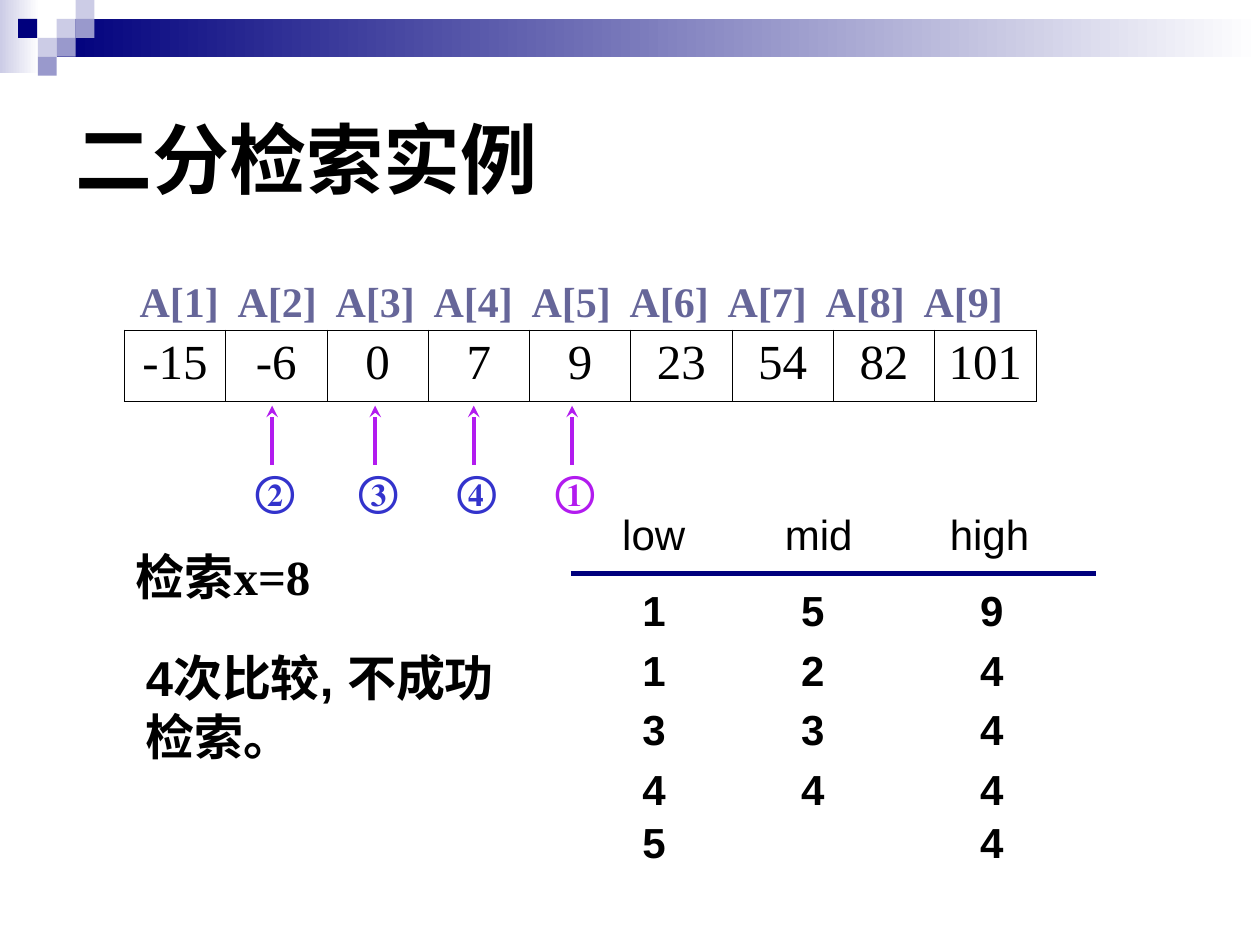
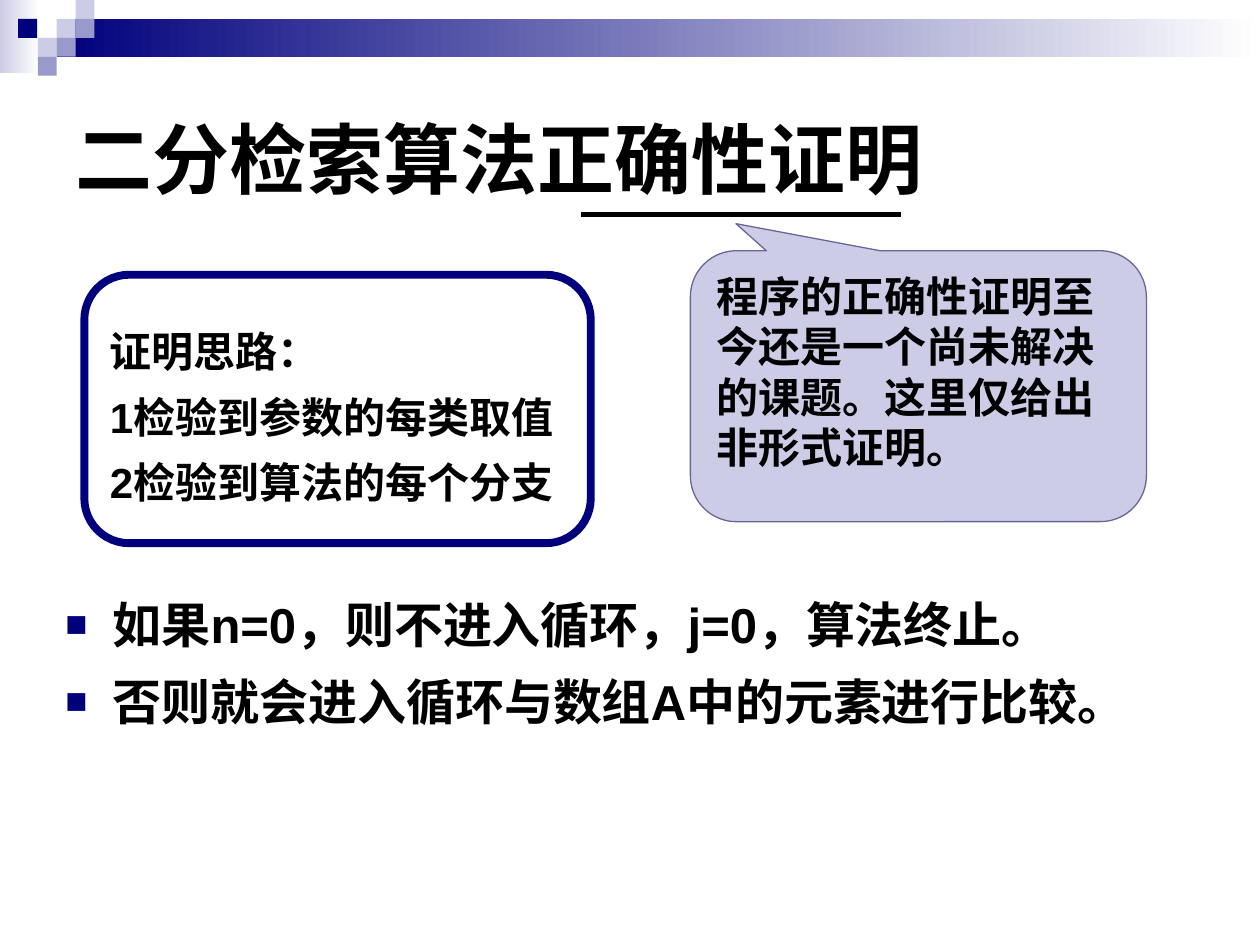
from lxml import etree
from pptx import Presentation
from pptx.dml.color import RGBColor
from pptx.enum import shapes, text
from pptx.oxml import ns
from pptx.util import Pt


class Theme:
    navy, lilac, mauve = "00007D", "CCCCE6", "9999CC"
    slate, blue, pink = "666699", "3333CC", "B21BEF"
    black, white = "000000", "FFFFFF"
    sans, serif = "Arial", "Times New Roman"
    head, body, small = 44, 28, 24


def write(para, words, size, color=Theme.black, bold=True, face=Theme.sans):
    para.text = words
    font = para.font
    font.size, font.bold, font.name = Pt(size), bold, face
    font.color.rgb = RGBColor.from_string(color)


def rule(slide, x1, y1, x2, y2, color, width, tip=None):
    line = slide.shapes.add_connector(
        shapes.MSO_CONNECTOR.STRAIGHT, Pt(x1), Pt(y1), Pt(x2), Pt(y2))
    line.line.color.rgb = RGBColor.from_string(color)
    line.line.width = Pt(width)
    props = line.element.spPr
    if tip:
        etree.SubElement(props.find(ns.qn("a:ln")), ns.qn("a:tailEnd"), type=tip)
    etree.SubElement(props, ns.qn("a:effectLst"))


deck = Presentation()
deck.slide_width, deck.slide_height = Pt(720), Pt(540)
demo = deck.slides.add_slide(deck.slide_layouts[5])
proof = deck.slides.add_slide(deck.slide_layouts[1])

# Shared band and squares, moved to the master
side = 10.8
tiles = [(0, 0, 22.5, 42, Theme.lilac, True), (32.4, 10.8, 687.6, 21.6, Theme.navy, True)]
for x, y, color in [(32.4, 10.8, Theme.lilac), (43.2, 0, Theme.lilac),
                    (43.2, 10.8, Theme.mauve), (21.6, 21.6, Theme.lilac),
                    (10.4, 10.8, Theme.navy), (32.4, 21.6, Theme.mauve),
                    (21.6, 32.4, Theme.mauve)]:
    tiles.append((x, y, side, side, color, False))
for x, y, w, h, color, fade in tiles:
    tile = demo.shapes.add_shape(shapes.MSO_SHAPE.RECTANGLE, Pt(x), Pt(y), Pt(w), Pt(h))
    tile.shadow.inherit = False
    tile.line.fill.background()
    if fade:
        tile.fill.gradient()
        tile.fill.gradient_angle = 0
        for stop, tone in zip(tile.fill.gradient_stops, (color, Theme.white)):
            stop.color.rgb = RGBColor.from_string(tone)
    else:
        tile.fill.solid()
        tile.fill.fore_color.rgb = RGBColor.from_string(color)
    deck.slide_master.shapes.element.append(tile.element)

# Titles
for slide, words in [(demo, "二分检索实例"), (proof, "二分检索算法正确性证明")]:
    title = slide.shapes.title
    title.left, title.top, title.width, title.height = Pt(36), Pt(36), Pt(648), Pt(108)
    title.text_frame.vertical_anchor = text.MSO_ANCHOR.MIDDLE
    title.text_frame.auto_size = text.MSO_AUTO_SIZE.NONE
    para = title.text_frame.paragraphs[0]
    para.alignment = text.PP_ALIGN.LEFT
    write(para, words, Theme.head)

# Array as a table
items = [-15, -6, 0, 7, 9, 23, 54, 82, 101]
grid = demo.shapes.add_table(1, len(items), Pt(71), Pt(188.5), Pt(521), Pt(41)).table
grid.first_row = grid.horz_banding = False
for col, item in enumerate(items):
    grid.columns[col].width = Pt(57.9)
    cell = grid.cell(0, col)
    props = cell._tc.get_or_add_tcPr()
    for edge in ("lnL", "lnR", "lnT", "lnB"):
        ln = etree.SubElement(props, ns.qn("a:" + edge), w=str(Pt(0.45)))
        fill = etree.SubElement(ln, ns.qn("a:solidFill"))
        etree.SubElement(fill, ns.qn("a:srgbClr"), val=Theme.black)
    cell.fill.background()
    para = cell.text_frame.paragraphs[0]
    para.alignment = text.PP_ALIGN.CENTER
    write(para, str(item), Theme.body, bold=False, face=Theme.serif)

# Text boxes: left, top, width, height, words, size, colour, bold, face, spacing
index = "\t".join(f"A[{n}]" for n in range(1, len(items) + 1))
notes = [
    (72.7, 157, 520.6, 33, index, Theme.small, Theme.slate, True, Theme.serif, 0.9),
    (70.5, 315.4, 175.7, 34.6, "检索x=8", Theme.body, Theme.black, True, Theme.serif, 0.8),
    (76.3, 366.5, 226.8, 75, "4次比较, 不成功检索。", Theme.body, Theme.black, True,
     Theme.sans, None)]

# Order of comparisons, with arrows up to the array
for x, mark, color in [(326.9, "①", Theme.pink), (155.5, "②", Theme.blue),
                       (214.4, "③", Theme.blue), (270.7, "④", Theme.blue)]:
    rule(demo, x, 265.7, x, 231.8, Theme.pink, 2.25, "stealth")
    notes.append((x - 16.6, 262, 31.7, 36, mark, Theme.small, color, True, Theme.serif, None))

# Trace of low, mid and high
rule(demo, 326.2, 327.6, 626.4, 327.6, Theme.navy, 3)
tops = [330.5, 364.5, 398.5, 432.5, 463]
for name, left, x, trace in [("low", 348.5, 360, "11345"), ("mid", 441.4, 450.7, "5234"),
                             ("high", 535.7, 553, "94444")]:
    notes.append((left, 287.3, 66, 36, name, Theme.small, Theme.black, False, Theme.sans, None))
    for top, digit in zip(tops, trace):
        notes.append((x, top, 45.4, 36, digit, Theme.small, Theme.black, True, Theme.sans, None))

for x, y, w, h, words, size, color, bold, face, gap in notes:
    frame = demo.shapes.add_textbox(Pt(x), Pt(y), Pt(w), Pt(h)).text_frame
    frame.word_wrap = True
    para = frame.paragraphs[0]
    if "\t" in words:
        tabs = etree.SubElement(para._p.get_or_add_pPr(), ns.qn("a:tabLst"))
        for n in range(1, len(items)):
            etree.SubElement(tabs, ns.qn("a:tab"), pos=str(Pt(56 * n)), algn="l")
    para.line_spacing = gap
    write(para, words, size, color, bold, face)

# Proof list
body = proof.placeholders[1]
body.left, body.top, body.width, body.height = Pt(30.2), Pt(332.6), Pt(664.6), Pt(102.2)
frame = body.text_frame
frame.auto_size = text.MSO_AUTO_SIZE.NONE
for n, words in enumerate(["如果n=0，则不进入循环，j=0，算法终止。",
                           "否则就会进入循环与数组A中的元素进行比较。"]):
    para = frame.add_paragraph() if n else frame.paragraphs[0]
    props = para._p.get_or_add_pPr()
    props.set("marL", str(Pt(27)))
    props.set("indent", str(Pt(-27)))
    tint = etree.SubElement(props, ns.qn("a:buClr"))
    etree.SubElement(tint, ns.qn("a:srgbClr"), val=Theme.navy)
    etree.SubElement(props, ns.qn("a:buSzPct"), val="75000")
    etree.SubElement(props, ns.qn("a:buChar"), char="■")
    para.line_spacing = 1.1
    para.space_before = Pt(7 * n)
    write(para, words, Theme.body)

# Title underline, callout and outline of the proof
rule(proof, 332, 122.5, 515, 122.5, Theme.black, 3)
kind, anchor = shapes.MSO_SHAPE, text.MSO_ANCHOR
for form, x, y, w, h, fill, edge, thick, hold, wrap, gap, lines in [
        (kind.ROUNDED_RECTANGULAR_CALLOUT, 394.5, 143.3, 260.6, 154.8, Theme.lilac,
         Theme.slate, 0.75, anchor.TOP, True, None,
         ["程序的正确性证明至今还是一个尚未解决的课题。这里仅给出非形式证明。"]),
        (kind.FLOWCHART_ALTERNATE_PROCESS, 48.2, 157, 289.4, 153.4, None,
         Theme.navy, 4.5, anchor.MIDDLE, False, 1.3,
         ["证明思路：", "1检验到参数的每类取值", "2检验到算法的每个分支"])]:
    panel = proof.shapes.add_shape(form, Pt(x), Pt(y), Pt(w), Pt(h))
    panel.shadow.inherit = False
    if fill:
        panel.fill.solid()
        panel.fill.fore_color.rgb = RGBColor.from_string(fill)
        for n, value in enumerate((-0.4, -0.6, 0.17)):
            panel.adjustments[n] = value
    else:
        panel.fill.background()
    panel.line.color.rgb = RGBColor.from_string(edge)
    panel.line.width = Pt(thick)
    frame = panel.text_frame
    frame.word_wrap, frame.vertical_anchor = wrap, hold
    for n, words in enumerate(lines):
        para = frame.add_paragraph() if n else frame.paragraphs[0]
        para.alignment = text.PP_ALIGN.LEFT
        para.line_spacing = gap
        write(para, words, Theme.small)

deck.save("out.pptx")
